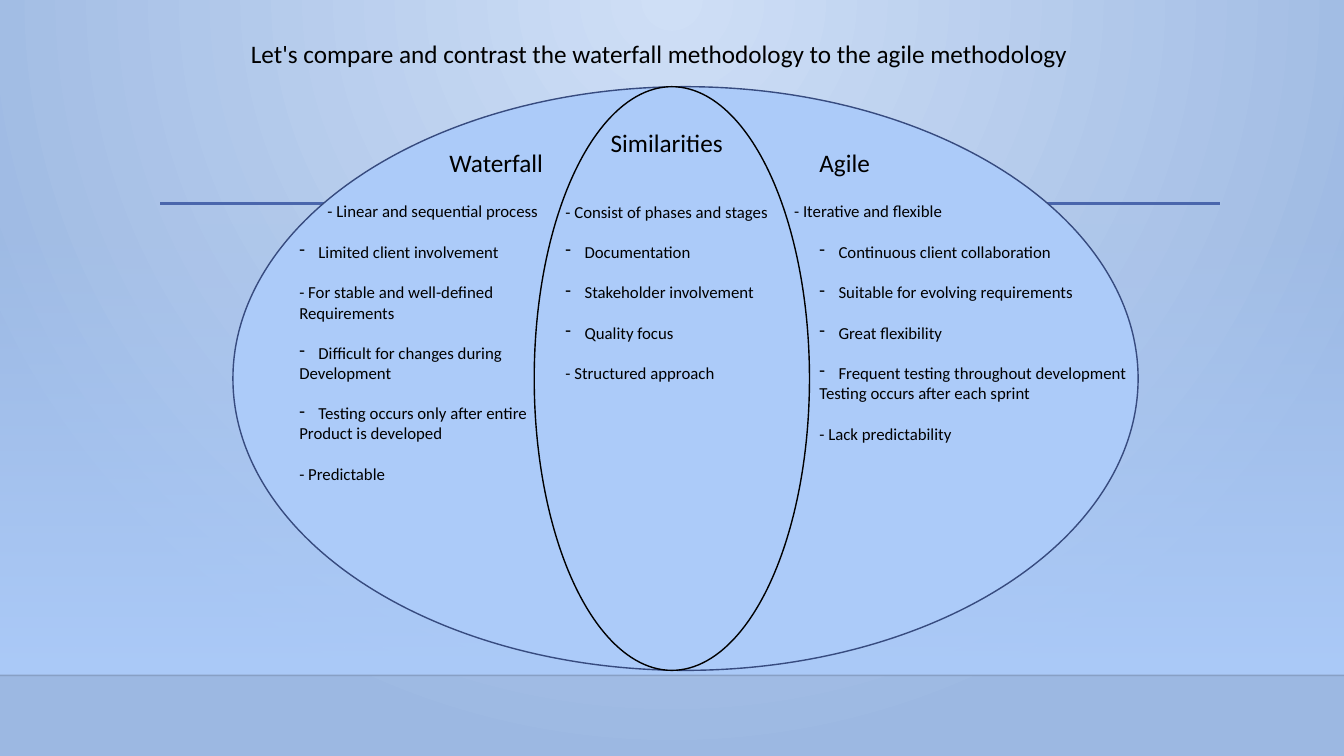
from lxml import etree
from pptx import Presentation
from pptx.dml.color import RGBColor
from pptx.enum.shapes import MSO_CONNECTOR, MSO_SHAPE
from pptx.enum.text import MSO_AUTO_SIZE
from pptx.oxml.ns import qn
from pptx.util import Inches, Pt

WIDE, HIGH = Inches(13.333), Inches(7.5)
RECT, OVAL = MSO_SHAPE.RECTANGLE, MSO_SHAPE.OVAL
STRAIGHT = MSO_CONNECTOR.STRAIGHT
GROW = MSO_AUTO_SIZE.SHAPE_TO_FIT_TEXT
FONT = "Calibri"
HEAD, BODY, GAP = 18, 12, 14.4
INDENT = Inches(0.19)
COLORS = {
    "glow": "CFDFF6", "edge": "9CB8E2", "sky": "ACCBF9",
    "rule": "4A66AC", "rim": "374B7F", "ink": "000000",
}

# Left, top, width and height are percentages of the slide.
HEADS = [
    ("Let's compare and contrast the waterfall methodology to the agile methodology",
     (17.93, 4.4, 66.15, 5.33)),
    ("Waterfall", (32.7, 18.8, 8.93, 5.33)),
    ("Agile", (60.23, 18.8, 5.85, 5.33)),
    ("Similarities", (44.7, 16.13, 10.5, 5.33)),
]

# Each item is (has a dash bullet, its lines).
LISTS = [
    ((23.63, 25.87, 18, 4), [(False, ["- Linear and sequential process"])]),
    ((58.35, 25.87, 13.43, 4), [(False, ["- Iterative and flexible"])]),
    ((21.53, 31.33, 19.28, 36.4), [
        (True, ["Limited client involvement"]),
        (False, ["- For stable and well-defined", "Requirements"]),
        (True, ["Difficult for changes during", "Development"]),
        (True, ["Testing occurs only after entire", "Product is developed"]),
        (False, ["- Predictable"]),
    ]),
    ((60.23, 31.33, 24.98, 28.27), [
        (True, ["Continuous client collaboration"]),
        (True, ["Suitable for evolving requirements"]),
        (True, ["Great flexibility"]),
        (True, ["Frequent testing throughout development",
                "Testing occurs after each sprint"]),
        (False, ["- Lack predictability"]),
    ]),
    ((41.33, 26, 17.33, 25.6), [
        (False, ["- Consist of phases and stages"]),
        (True, ["Documentation"]),
        (True, ["Stakeholder involvement"]),
        (True, ["Quality focus"]),
        (False, ["- Structured approach"]),
    ]),
]


def color(name):
    return RGBColor.from_string(COLORS[name])


def place(box):
    """Turn percentages of the slide into lengths."""
    return [int(share * side / 100) for share, side in zip(box, (WIDE, HIGH) * 2)]


def fade(part, share):
    """Set the opacity of the first colour inside an element."""
    tone = part.find(".//" + qn("a:srgbClr"))
    etree.SubElement(tone, qn("a:alpha"), val=str(share * 1000))


def blend(fill, first, last):
    fill.gradient()
    for stop, name in zip(fill.gradient_stops, (first, last)):
        stop.color.rgb = color(name)


def add_glow(slide):
    """Give the slide a round gradient that starts at the top centre."""
    blend(slide.background.fill, "glow", "edge")
    grad = slide._element.find(".//" + qn("a:gradFill"))
    grad.remove(grad.find(qn("a:lin")))
    ring = etree.SubElement(grad, qn("a:path"), path="circle")
    etree.SubElement(ring, qn("a:fillToRect"), l="43000", t="0", r="43000", b="100000")


def add_haze(slide, box):
    """Add a band that fades in from clear at its top."""
    haze = slide.shapes.add_shape(RECT, *place(box))
    haze.shadow.inherit = False
    haze.line.fill.background()
    blend(haze.fill, "sky", "sky")
    haze.fill.gradient_angle = 270
    fade(haze._element.spPr, 0)


def add_rule(slide, left, right, top, name, width, share=100):
    ends = place((left, top, right, top))
    rule = slide.shapes.add_connector(STRAIGHT, *ends)
    rule.line.color.rgb = color(name)
    rule.line.width = Pt(width)
    fade(rule._element.spPr, share)
    etree.SubElement(rule._element.spPr, qn("a:effectLst"))


def add_oval(slide, box, rim):
    oval = slide.shapes.add_shape(OVAL, *place(box))
    oval.shadow.inherit = False
    oval.fill.solid()
    oval.fill.fore_color.rgb = color("sky")
    oval.line.color.rgb = color(rim)
    oval.line.width = Pt(1)


def add_dash(para):
    props = para._p.get_or_add_pPr()
    props.set("marL", str(INDENT))
    props.set("indent", str(-INDENT))
    etree.SubElement(props, qn("a:buChar"), char="-")


def add_text(slide, box, items, size):
    frame = slide.shapes.add_textbox(*place(box)).text_frame
    frame.word_wrap = False
    frame.auto_size = GROW
    frame.text = "\n".join(line for _, lines in items for line in lines)
    paras = iter(frame.paragraphs)
    for row, (dash, lines) in enumerate(items):
        for part in range(len(lines)):
            para = next(paras)
            if dash and part == 0:
                add_dash(para)
            if row and part == 0:
                para.space_before = Pt(GAP)
            font = para.runs[0].font
            font.name, font.size = FONT, Pt(size)
            font.color.rgb = color("ink")


def main():
    deck = Presentation()
    deck.slide_width, deck.slide_height = WIDE, HIGH
    slide = deck.slides.add_slide(deck.slide_layouts[6])
    add_glow(slide)
    add_haze(slide, (0, 29.47, 100, 59.87))
    add_rule(slide, 0, 100, 89.33, "ink", 1, 20)
    add_rule(slide, 11.93, 90.75, 26.93, "rule", 2.5)
    add_oval(slide, (17.33, 11.47, 67.35, 77.2), "rim")
    add_oval(slide, (39.75, 11.47, 20.48, 77.2), "ink")
    for text, box in HEADS:
        add_text(slide, box, [(False, [text])], HEAD)
    for box, items in LISTS:
        add_text(slide, box, items, BODY)
    deck.save("out.pptx")


if __name__ == "__main__":
    main()
